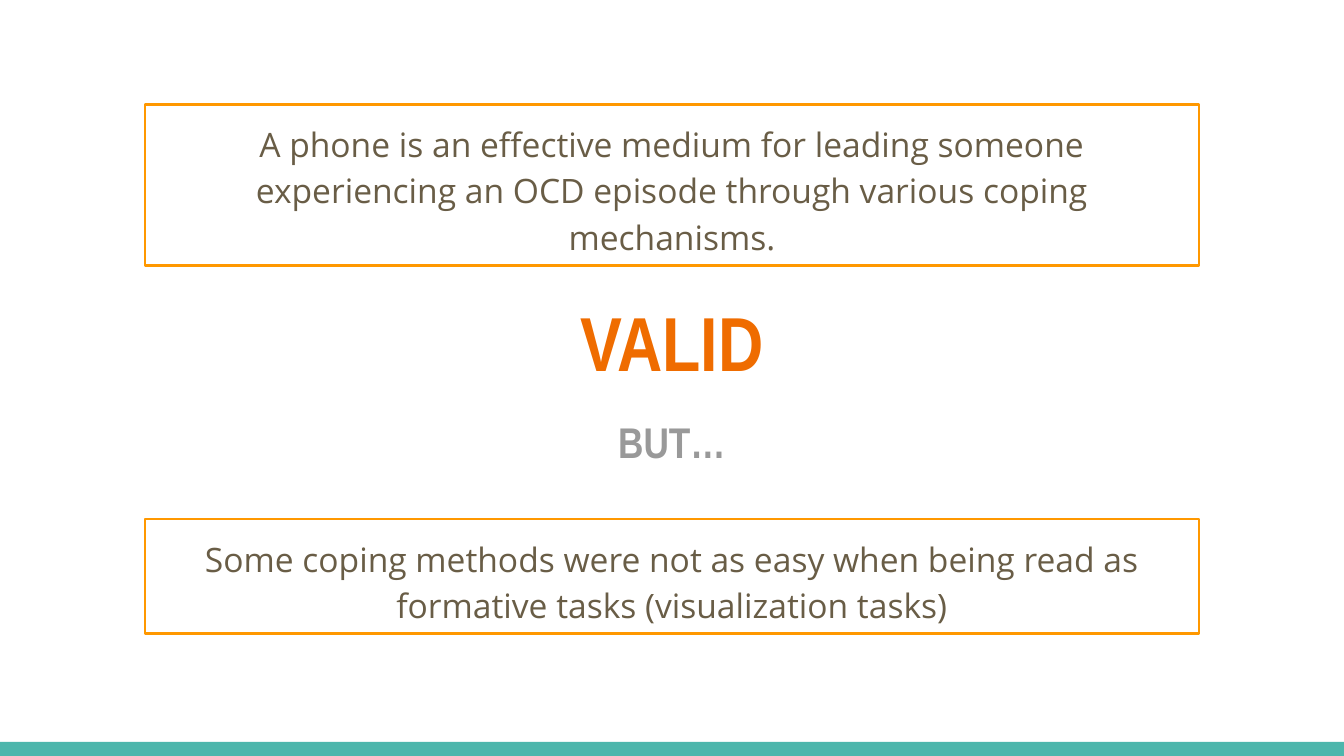
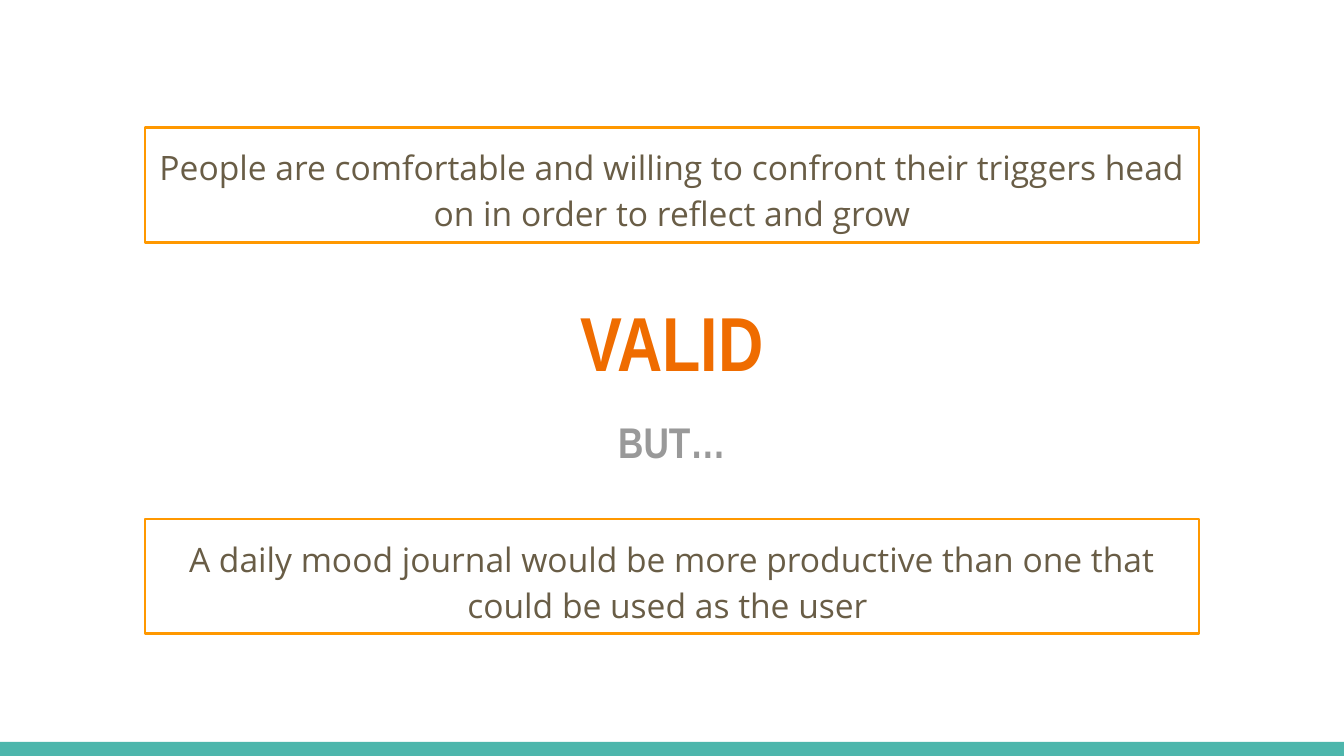
from dataclasses import dataclass
from pptx import Presentation
from pptx.dml.color import RGBColor
from pptx.enum.shapes import MSO_SHAPE
from pptx.enum.text import MSO_ANCHOR, MSO_AUTO_SIZE, PP_ALIGN
from pptx.util import Inches, Pt

SLIDES = [
    {
        "claim": "A phone is an effective medium for leading someone experiencing "
                 "an OCD episode through various coping mechanisms.",
        "claim_lines": 3,
        "caveat": "Some coping methods were not as easy when being read as "
                  "formative tasks (visualization tasks)",
    },
    {
        "claim": "People are comfortable and willing to confront their triggers "
                 "head on in order to reflect and grow",
        "claim_lines": 2,
        "caveat": "A daily mood journal would be more productive than one that "
                  "could be used as the user ",
    },
]
VERDICT, TURN = "VALID", "BUT…"


@dataclass(frozen=True)
class Style:
    font: str
    size: int
    color: str
    bold: bool = False


class Theme:
    band = "4DB6AC"
    border = "FF9800"
    border_width = 1.5
    statement = Style("Open Sans", 18, "695D46")
    verdict = Style("Arial Narrow", 41, "EF6C00", True)
    turn = Style("Arial Narrow", 23, "999999", True)


SLIDE_W, SLIDE_H = 1344, 756
BAND_H = 14
STATEMENT_W = 1054
LINE_H, FRAME_PAD = 46, 23
CLAIM_CENTER, CAVEAT_TOP = 185, 519
VERDICT_BOX = (282, 216, 120)  # top, width, height
TURN_BOX = (402, 440, 79)


def px(n):
    return round(n * Inches(10) / SLIDE_W)


def centered(top, width, height):
    """Left, top, width, height of a box centred across the slide."""
    return [px(n) for n in ((SLIDE_W - width) / 2, top, width, height)]


def write(shape, text, style):
    tf = shape.text_frame
    tf.word_wrap = True
    tf.auto_size = MSO_AUTO_SIZE.SHAPE_TO_FIT_TEXT
    tf.vertical_anchor = MSO_ANCHOR.TOP
    tf.margin_left = tf.margin_right = Inches(0.1)
    tf.margin_top = tf.margin_bottom = Inches(0.1)
    p = tf.paragraphs[0]
    p.text = text
    p.alignment = PP_ALIGN.CENTER
    font = p.runs[0].font
    font.name, font.size, font.bold = style.font, Pt(style.size), style.bold
    font.color.rgb = RGBColor.from_string(style.color)
    return p


def add_rect(slide, box):
    sp = slide.shapes.add_shape(MSO_SHAPE.RECTANGLE, *box)
    sp.shadow.inherit = False
    return sp


def add_band(slide):
    sp = add_rect(slide, centered(SLIDE_H - BAND_H, SLIDE_W, BAND_H))
    sp.fill.solid()
    sp.fill.fore_color.rgb = RGBColor.from_string(Theme.band)
    sp.line.fill.background()


def add_statement(slide, text, top, height):
    sp = add_rect(slide, centered(top, STATEMENT_W, height))
    sp.fill.background()
    sp.line.color.rgb = RGBColor.from_string(Theme.border)
    sp.line.width = Pt(Theme.border_width)
    p = write(sp, text, Theme.statement)
    p.line_spacing = 1.15
    p.space_after = Pt(12)


def add_word(slide, text, box, style):
    write(slide.shapes.add_textbox(*centered(*box)), text, style)


def statement_height(lines):
    return lines * LINE_H + FRAME_PAD


def add_slide(prs, content):
    slide = prs.slides.add_slide(prs.slide_layouts[6])
    add_band(slide)
    claim_h = statement_height(content["claim_lines"])
    add_statement(slide, content["claim"], CLAIM_CENTER - claim_h / 2, claim_h)
    add_word(slide, VERDICT, VERDICT_BOX, Theme.verdict)
    add_word(slide, TURN, TURN_BOX, Theme.turn)
    add_statement(slide, content["caveat"], CAVEAT_TOP, statement_height(2))


def main():
    prs = Presentation()
    prs.slide_width, prs.slide_height = px(SLIDE_W), px(SLIDE_H)
    for content in SLIDES:
        add_slide(prs, content)
    prs.save("out.pptx")


if __name__ == "__main__":
    main()
